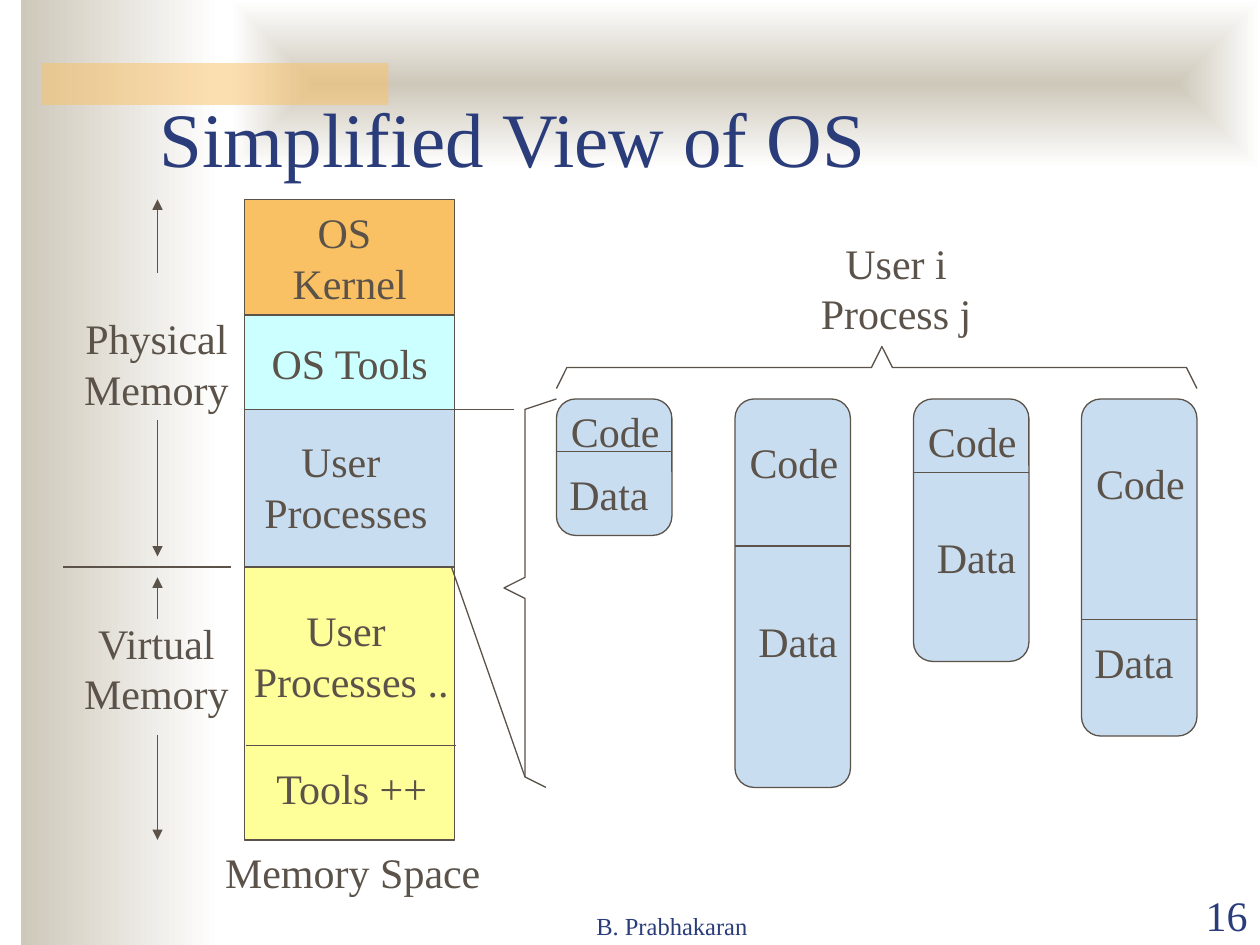
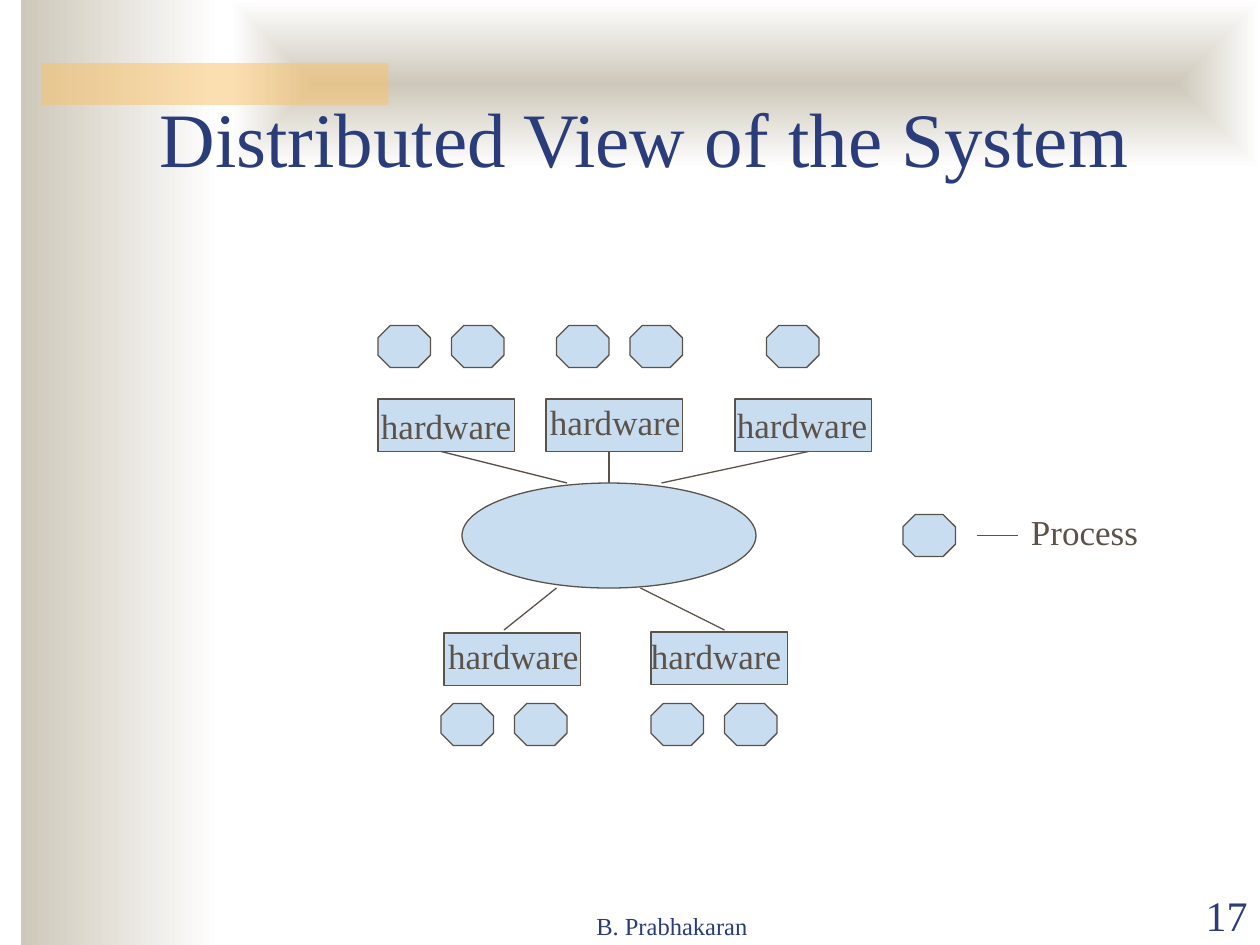
"""Build two lecture slides: a memory view of an OS and a distributed system."""
from lxml import etree
from pptx import Presentation
from pptx import util as u
from pptx.dml.color import RGBColor
from pptx.enum import shapes, text
from pptx.oxml import ns

SCALE = u.Inches(1) // 120
FONT = "Times New Roman"
NAVY = RGBColor(0x2A, 0x3D, 0x7A)
BROWN = RGBColor(0x5B, 0x52, 0x49)
SAND = RGBColor(0xCE, 0xC8, 0xBA)
WHITE = RGBColor(0xFF, 0xFF, 0xFF)
ORANGE = RGBColor(0xFA, 0xC1, 0x64)
BLUE = RGBColor(0xC9, 0xDD, 0xF1)
CYAN = RGBColor(0xCC, 0xFF, 0xFF)
YELLOW = RGBColor(0xFF, 0xFF, 0x99)

KIND = shapes.MSO_SHAPE
LEFT, CENTER, RIGHT = text.PP_ALIGN.LEFT, text.PP_ALIGN.CENTER, text.PP_ALIGN.RIGHT
TOP, MIDDLE, BOTTOM = text.MSO_ANCHOR.TOP, text.MSO_ANCHOR.MIDDLE, text.MSO_ANCHOR.BOTTOM
TITLE = {"size": 44, "color": NAVY, "align": LEFT, "anchor": BOTTOM, "wrap": True}
FOOTER = {"size": 14, "color": NAVY, "align": CENTER, "anchor": BOTTOM, "wrap": True}
NUMBER = {**FOOTER, "size": 24, "align": RIGHT}
LABEL = {"size": 24, "color": BROWN, "align": CENTER, "anchor": MIDDLE, "wrap": False}
SMALL = {**LABEL, "size": 20, "align": LEFT, "anchor": TOP}

TITLE_BOX = (140, 30, 1020, 150)
FOOTER_BOX = (450, 842, 380, 60)
NUMBER_BOX = (1080, 841, 120, 60)
AUTHOR = "B. Prabhakaran"
SIDE_BAND = (20, 0, 190, 900)
TOP_BAND = (220, 0, 980, 160)
ACCENT_BAND = (40, 60, 330, 40)

MEMORY_LEFT, MEMORY_WIDTH = 233, 200
MEMORY_SEGMENTS = [
    (190, 360, BLUE, ""),
    (540, 260, YELLOW, ""),
    (190, 110, ORANGE, "OS \nKernel"),
    (300, 90, CYAN, "OS Tools"),
]
MEMORY_LABELS = [
    ("Memory Space", (200, 800, 272, 60)),
    ("Physical\nMemory", (66, 292, 166, 108)),
    ("Virtual\nMemory", (66, 582, 166, 108)),
    ("User \nProcesses", (237, 409, 185, 108)),
    ("Tools ++", (248, 720, 174, 60)),
    ("User \nProcesses ..", (227, 570, 215, 108)),
    ("User i\nProcess j", (768, 220, 171, 108)),
]
MEMORY_LINES = [
    (234, 710, 434, 710),
    (60, 540, 220, 540),
    (490, 390, 430, 390),
    (500, 740, 430, 540),
]
ARROW_X = 150
ARROW_SPANS = [(260, 190), (400, 530), (590, 550), (700, 800)]
PROCESS_TOP, PROCESS_WIDTH = 380, 110
PROCESSES = [
    {"left": 530, "height": 130, "split": 430, "code": 380, "data": (528, 440)},
    {"left": 700, "height": 370, "split": 520, "code": 410, "data": (708, 580)},
    {"left": 870, "height": 250, "split": 450, "code": 390, "data": (878, 500)},
    {"left": 1030, "height": 321, "split": 590, "code": 430, "data": (1028, 600)},
]
BRACES = [
    [(530, 370), (540, 350), (830, 350), (840, 330), (850, 350), (1130, 350), (1140, 370)],
    [(530, 380), (500, 390), (500, 550), (480, 560), (500, 570), (500, 740), (520, 750)],
]

NETWORK = (440, 460, 280, 100)
HARDWARE = [
    ((360, 380), (351, 379)),
    ((520, 380), (512, 376)),
    ((700, 380), (690, 378)),
    ((423, 603), (415, 598)),
    ((620, 602), (608, 598)),
]
NETWORK_LINES = [
    (420, 430, 540, 460),
    (580, 430, 580, 460),
    (770, 430, 630, 460),
    (480, 600, 530, 560),
    (690, 600, 610, 560),
    (930, 510, 970, 510),
]
PROCESS_ROWS = [
    (310, [360, 430, 530, 600, 730]),
    (670, [420, 490, 620, 690]),
    (490, [860]),
]


def px(*lengths):
    return [length * SCALE for length in lengths]


def child(parent, tag, **attributes):
    return etree.SubElement(parent, ns.qn(tag), attributes)


def write(shape, words, style):
    frame = shape.text_frame
    frame.text = words
    settings = {"word_wrap": style["wrap"], "vertical_anchor": style["anchor"]}
    for name, value in settings.items():
        setattr(frame, name, value)
    for paragraph in frame.paragraphs:
        paragraph.alignment = style["align"]
        font = {"name": FONT, "size": u.Pt(style["size"])}
        for name, value in font.items():
            setattr(paragraph.font, name, value)
        paragraph.font.color.rgb = style["color"]


def add_label(slide, words, box, style=LABEL):
    shape = slide.shapes.add_textbox(*px(*box))
    write(shape, words, style)
    if not style["wrap"]:
        shape.text_frame.auto_size = text.MSO_AUTO_SIZE.SHAPE_TO_FIT_TEXT


def outline(shape):
    shape.line.color.rgb = BROWN
    shape.line.width = u.Pt(0.75)


def add_box(slide, kind, box, color, words=""):
    shape = slide.shapes.add_shape(kind, *px(*box))
    shape.shadow.inherit = False
    shape.fill.solid()
    shape.fill.fore_color.rgb = color
    outline(shape)
    if words:
        write(shape, words, LABEL)
    return shape


def add_line(slide, ends, arrow=False):
    line = slide.shapes.add_connector(shapes.MSO_CONNECTOR.STRAIGHT, *px(*ends))
    outline(line)
    if arrow:
        child(line.get_or_add_ln(), "a:tailEnd", type="triangle")
    child(line.element.spPr, "a:effectLst")


def add_brace(slide, points):
    builder = slide.shapes.build_freeform(*points[0], scale=SCALE)
    builder.add_line_segments(points[1:], close=False)
    brace = builder.convert_to_shape()
    brace.shadow.inherit = False
    brace.fill.background()
    outline(brace)


def fade(shape):
    shape.fill.gradient()
    shape.fill.gradient_angle = 0
    for stop, color in zip(shape.fill.gradient_stops, (SAND, WHITE)):
        stop.color.rgb = color


def add_master_bands(presentation, slide):
    """Draw the bands on a slide, then move them to the shared master."""
    side, top, accent = bands = [
        add_box(slide, KIND.RECTANGLE, box, ORANGE)
        for box in (SIDE_BAND, TOP_BAND, ACCENT_BAND)
    ]
    fade(side)
    fade(top)
    gradient = top.element.spPr.find(ns.qn("a:gradFill"))
    gradient.remove(gradient.find(ns.qn("a:lin")))
    center = child(gradient, "a:path", path="rect")
    child(center, "a:fillToRect", **dict.fromkeys("ltrb", "50000"))
    color = next(accent.element.spPr.iter(ns.qn("a:srgbClr")))
    child(color, "a:alpha", val="50000")
    tree = presentation.slide_master.element.cSld.spTree
    for index, band in enumerate(bands):
        band.line.fill.background()
        band.element.nvSpPr.cNvPr.id = 100 + index
        tree.insert(2 + index, band.element)


def start_slide(presentation, title, number):
    slide = presentation.slides.add_slide(presentation.slide_layouts[5])
    heading = slide.shapes.title
    for name, value in zip(("left", "top", "width", "height"), px(*TITLE_BOX)):
        setattr(heading, name, value)
    write(heading, title, TITLE)
    heading.text_frame.auto_size = text.MSO_AUTO_SIZE.NONE
    add_label(slide, AUTHOR, FOOTER_BOX, FOOTER)
    add_label(slide, str(number), NUMBER_BOX, NUMBER)
    return slide


def draw_memory(slide):
    for top, height, color, words in MEMORY_SEGMENTS:
        box = (MEMORY_LEFT, top, MEMORY_WIDTH, height)
        add_box(slide, KIND.RECTANGLE, box, color, words)
    for process in PROCESSES:
        left, split = process["left"], process["split"]
        box = (left, PROCESS_TOP, PROCESS_WIDTH, process["height"])
        add_box(slide, KIND.ROUNDED_RECTANGLE, box, BLUE)
        add_line(slide, (left, split, left + PROCESS_WIDTH, split))
        add_label(slide, "Data", (*process["data"], 104, 60))
        add_label(slide, "Code", (left - 1, process["code"], 114, 60))
    for words, box in MEMORY_LABELS:
        add_label(slide, words, box)
    for ends in MEMORY_LINES:
        add_line(slide, ends)
    for start, end in ARROW_SPANS:
        add_line(slide, (ARROW_X, start, ARROW_X, end), arrow=True)
    for points in BRACES:
        add_brace(slide, points)


def draw_network(slide):
    add_box(slide, KIND.OVAL, NETWORK, BLUE)
    for corner, label_corner in HARDWARE:
        add_box(slide, KIND.RECTANGLE, (*corner, 130, 50), BLUE)
        add_label(slide, "hardware", (*label_corner, 148, 53), SMALL)
    for ends in NETWORK_LINES:
        add_line(slide, ends)
    for top, lefts in PROCESS_ROWS:
        for left in lefts:
            add_box(slide, KIND.OCTAGON, (left, top, 50, 40), BLUE)
    add_label(slide, "Process", (970, 480, 126, 53), SMALL)


def main():
    presentation = Presentation()
    presentation.slide_width, presentation.slide_height = px(1200, 900)
    memory = start_slide(presentation, "Simplified View of OS", 16)
    add_master_bands(presentation, memory)
    draw_memory(memory)
    draw_network(start_slide(presentation, "Distributed View of the System", 17))
    presentation.save("out.pptx")


if __name__ == "__main__":
    main()
